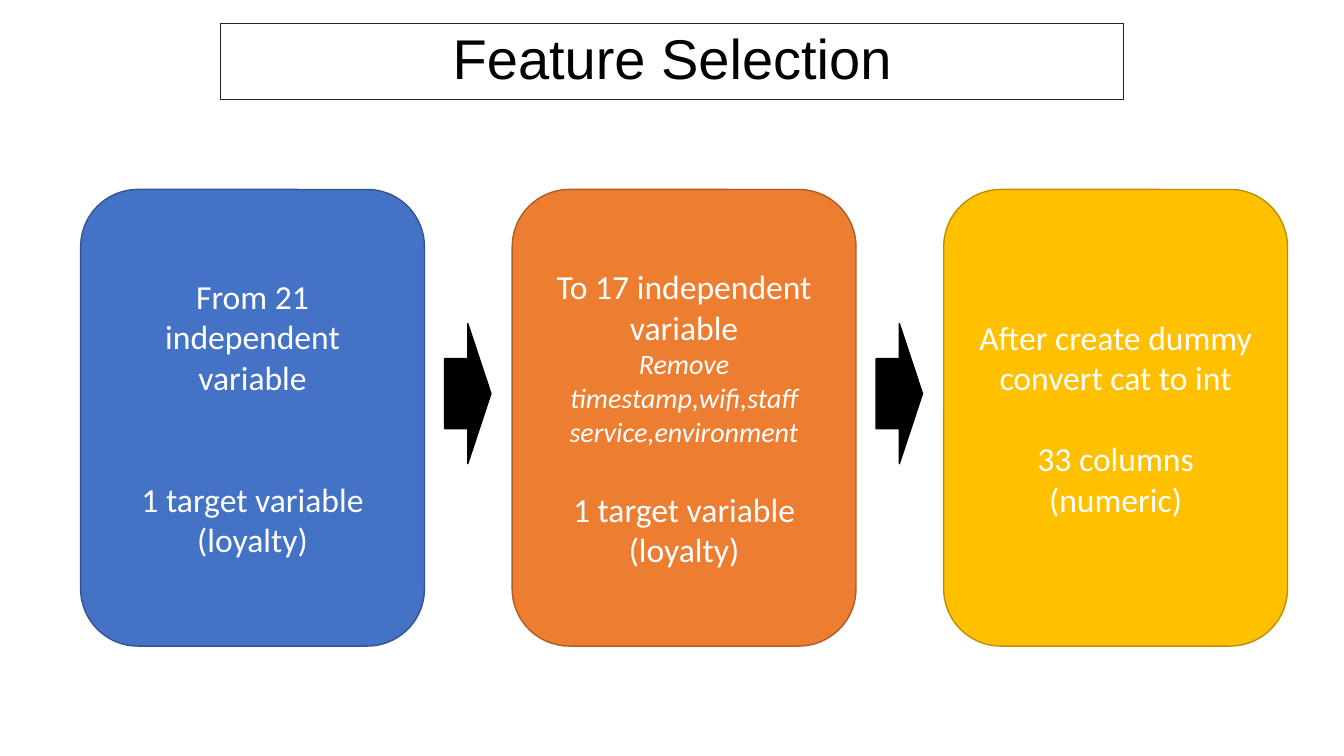
"""Build the Feature Selection slide: three steps joined by arrows."""
from pptx import Presentation
from pptx.dml.color import RGBColor
from pptx.enum.shapes import MSO_SHAPE
from pptx.enum.text import MSO_ANCHOR, MSO_AUTO_SIZE, PP_ALIGN
from pptx.util import Inches, Pt

ROUND, ARROW = MSO_SHAPE.ROUNDED_RECTANGLE, MSO_SHAPE.RIGHT_ARROW
MIDDLE, CENTER = MSO_ANCHOR.MIDDLE, PP_ALIGN.CENTER
FIXED = MSO_AUTO_SIZE.NONE

TITLE = "Feature Selection"
COLORS = {
    "white": "FFFFFF", "black": "000000", "frame": "262626",
    "blue": "4472C4", "navy": "325491",
    "orange": "ED7D31", "rust": "AF5C24",
    "gold": "FFC000", "olive": "BD8E00",
}
LINE = 29.3
STEPS = [
    {"fill": "blue", "edge": "navy", "text": [
        ("From 21 independent variable", 24, False, 0),
        ("1 target variable (loyalty)", 24, False, 2 * LINE)]},
    {"fill": "orange", "edge": "rust", "text": [
        ("To 17 independent variable", 24, False, 0),
        ("Remove timestamp,wifi,staff service,environment", 20, True, 0),
        ("1 target variable (loyalty)", 24, False, LINE)]},
    {"fill": "gold", "edge": "olive", "text": [
        ("After create dummy convert cat to int", 24, False, 0),
        ("33 columns (numeric)", 24, False, LINE)]},
]
LEFT, TOP, WIDTH, HEIGHT, PITCH = 0.8, 1.88, 3.41, 4.53, 4.28
ARROW_W, ARROW_H, ARROW_GAP = 0.46, 1.39, 0.2


def color(name):
    return RGBColor.from_string(COLORS[name])


def paint(shape, fill, edge, weight):
    shape.fill.solid()
    shape.fill.fore_color.rgb = color(fill)
    shape.line.color.rgb = color(edge)
    shape.line.width = Pt(weight)


def style(para, font, size, tint, italic=False):
    para.alignment = CENTER
    for run in para.runs:
        run.font.name = font
        run.font.size = Pt(size)
        run.font.italic = italic
        run.font.color.rgb = color(tint)


def add_shape(slide, kind, box, fill, edge):
    shape = slide.shapes.add_shape(kind, *map(Inches, box))
    shape.shadow.inherit = False
    paint(shape, fill, edge, 1)
    return shape


def add_title(slide):
    title = slide.shapes.title
    title.left, title.top = Inches(2.19), Inches(0.23)
    title.width, title.height = Inches(8.95), Inches(0.76)
    paint(title, "white", "frame", 0.75)
    frame = title.text_frame
    frame.text = TITLE
    frame.auto_size = FIXED
    frame.vertical_anchor = MIDDLE
    para = frame.paragraphs[0]
    para.line_spacing = 0.9
    style(para, "Arial", 40, "black")


def add_step(slide, left, step):
    box = (left, TOP, WIDTH, HEIGHT)
    card = add_shape(slide, ROUND, box, step["fill"], step["edge"])
    frame = card.text_frame
    frame.word_wrap = True
    frame.vertical_anchor = MIDDLE
    frame.text = "\n".join(row[0] for row in step["text"])
    for para, (_, size, italic, gap) in zip(frame.paragraphs, step["text"]):
        para.space_before = Pt(gap)
        style(para, "Calibri", size, "white", italic)


def main():
    deck = Presentation()
    deck.slide_width, deck.slide_height = Inches(13.33), Inches(7.5)
    slide = deck.slides.add_slide(deck.slide_layouts[5])
    add_title(slide)
    for i, step in enumerate(STEPS):
        left = LEFT + i * PITCH
        add_step(slide, left, step)
        if i < len(STEPS) - 1:
            top = TOP + (HEIGHT - ARROW_H) / 2 - 0.24
            box = (left + WIDTH + ARROW_GAP, top, ARROW_W, ARROW_H)
            add_shape(slide, ARROW, box, "black", "black")
    deck.save("out.pptx")


if __name__ == "__main__":
    main()
